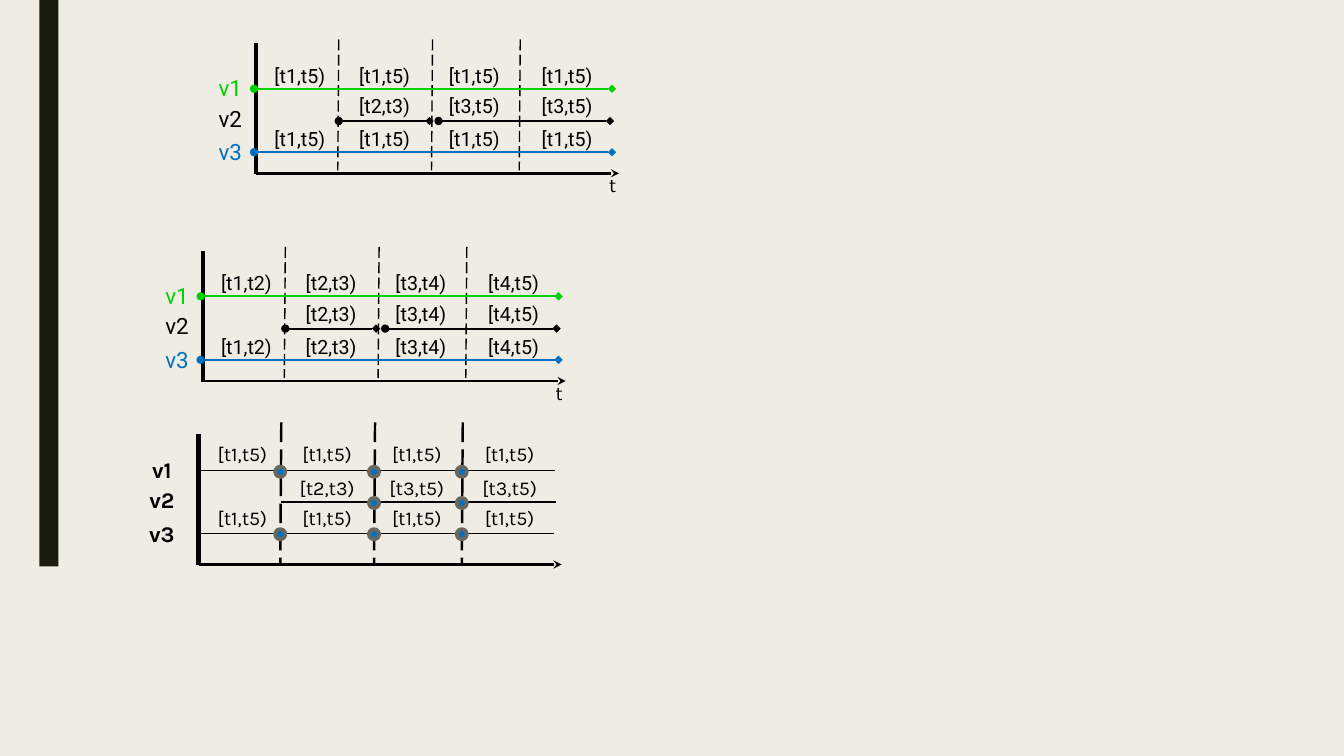
from lxml import etree
from pptx import Presentation
from pptx.dml.color import RGBColor
from pptx.enum.dml import MSO_LINE
from pptx.enum.shapes import MSO_CONNECTOR, MSO_SHAPE
from pptx.enum.text import MSO_ANCHOR, PP_ALIGN
from pptx.oxml.ns import qn
from pptx.util import Inches, Pt

STRAIGHT = MSO_CONNECTOR.STRAIGHT
RECTANGLE, OVAL = MSO_SHAPE.RECTANGLE, MSO_SHAPE.OVAL
LONG_DASH = MSO_LINE.LONG_DASH
CENTER, TOP = PP_ALIGN.CENTER, MSO_ANCHOR.TOP
COLORS = {name: RGBColor.from_string(value) for name, value in {
    "background": "EFEDE3", "bar": "191B0E", "black": "000000",
    "green": "00D200", "blue": "0070C0", "ring": "686863"}.items()}


def add_line(shapes, start, end, width, color="black", dash=None, head=None, tail=None):
    points = [Inches(value) for value in (*start, *end)]
    connector = shapes.add_connector(STRAIGHT, *points)
    connector.line.color.rgb = COLORS[color]
    connector.line.width = Pt(width)
    if dash:
        connector.line.dash_style = dash
    properties = connector._element.spPr
    line = properties.find(qn("a:ln"))
    for tag, kind in (("a:headEnd", head), ("a:tailEnd", tail)):
        if kind:
            etree.SubElement(line, qn(tag)).set("type", kind)
    etree.SubElement(properties, qn("a:effectLst"))


def add_label(shapes, text, left, top, size, font, color="black", bold=False, height=0.35):
    box = shapes.add_textbox(Inches(left), Inches(top), Inches(0.77), Inches(height))
    frame = box.text_frame
    frame.word_wrap = False
    frame.vertical_anchor = TOP
    frame.margin_left = frame.margin_right = Inches(0.07)
    frame.margin_top = frame.margin_bottom = Inches(0.04)
    frame.text = text
    paragraph = frame.paragraphs[0]
    paragraph.alignment = CENTER
    run_font = paragraph.runs[0].font
    run_font.name = font
    run_font.size = Pt(size)
    run_font.bold = bold
    run_font.color.rgb = COLORS[color]


presentation = Presentation()
presentation.slide_width = Inches(13.33)
presentation.slide_height = Inches(7.5)
slide = presentation.slides.add_slide(presentation.slide_layouts[6])
slide.background.fill.solid()
slide.background.fill.fore_color.rgb = COLORS["background"]

bar = slide.shapes.add_shape(RECTANGLE, Inches(0.39), 0, Inches(0.19), Inches(5.62))
bar.shadow.inherit = False
bar.fill.solid()
bar.fill.fore_color.rgb = COLORS["bar"]
bar.line.fill.background()

whole = ["[t1,t5)"] * 4
changing = ["", "[t2,t3)", "[t3,t5)", "[t3,t5)"]
pieces = ["[t1,t2)", "[t2,t3)", "[t3,t4)", "[t4,t5)"]
colored = {
    "font": "Roboto", "bold": False, "names": ["green", "black", "blue"],
    "name_left": -0.64, "name_tops": [0.27, 0.57, 0.9],
    "label_tops": [0.16, 0.46, 0.79],
    "dash_top": -0.04, "dash_bottom": 1.26, "dash_width": 1,
    "line_width": 1.5, "head": "oval", "tail": "diamond",
    "tracks": [(0, -0.02, 3.53), (2, -0.02, 3.53), (1, 0.82, 1.72), (1, 1.81, 3.51)],
    "track_tops": [0.45, 0.77, 1.08], "nodes": False}
plain = {
    "font": "Karla", "bold": True, "names": ["black"] * 3,
    "name_left": -0.75, "name_tops": [0.17, 0.47, 0.81],
    "label_tops": [0.03, 0.37, 0.67],
    "dash_top": -0.12, "dash_bottom": 1.28, "dash_width": 1.75,
    "line_width": 1, "head": None, "tail": None,
    "tracks": [(0, -0.02, 3.53), (2, 0.02, 3.52), (1, 0.82, 1.72), (1, 1.74, 3.54)],
    "track_tops": [0.36, 0.67, 0.98], "nodes": True}
timelines = [
    (1.97, 4.31, plain, [whole, changing, whole]),
    (2.01, 2.49, colored, [pieces, ["", *pieces[1:]], pieces]),
    (2.54, 0.43, colored, [whole, changing, whole])]
column_lefts = [0.05, 0.89, 1.78, 2.7]
cut_lefts = [0.82, 1.75, 2.62]

for left, top, style, intervals in timelines:
    shapes = slide.shapes if style["nodes"] else slide.shapes.add_group_shape().shapes

    for cut in cut_lefts:
        add_line(shapes, (left + cut, top + style["dash_top"]),
                 (left + cut - 0.01, top + style["dash_bottom"]),
                 style["dash_width"], dash=LONG_DASH)
    add_line(shapes, (left, top + 1.3), (left, top), 3)
    add_line(shapes, (left, top + 1.29), (left + 3.6, top + 1.29), 1.75, tail="stealth")

    for row, start, end in style["tracks"]:
        level = top + style["track_tops"][row]
        add_line(shapes, (left + start, level), (left + end, level), style["line_width"],
                 style["names"][row], head=style["head"], tail=style["tail"])

    for row, labels in enumerate(intervals):
        add_label(shapes, f"v{row + 1}", left + style["name_left"],
                  top + style["name_tops"][row], 16, style["font"],
                  style["names"][row], style["bold"])
        if style["nodes"]:
            for cut, label in zip(cut_lefts, labels):
                if label:
                    node = shapes.add_shape(
                        OVAL, Inches(left + cut - 0.06),
                        Inches(top + style["track_tops"][row] - 0.04),
                        Inches(0.1), Inches(0.1))
                    node.shadow.inherit = False
                    node.fill.solid()
                    node.fill.fore_color.rgb = COLORS["blue"]
                    node.line.color.rgb = COLORS["ring"]
                    node.line.width = Pt(2.75)
        for column, label in zip(column_lefts, labels):
            if label:
                add_label(shapes, label, left + column,
                          top + style["label_tops"][row], 14, style["font"])

    if not style["nodes"]:
        add_label(shapes, "t", left + 3.15, top + 1.25, 14, "Karla", height=0.25)

presentation.save("out.pptx")
